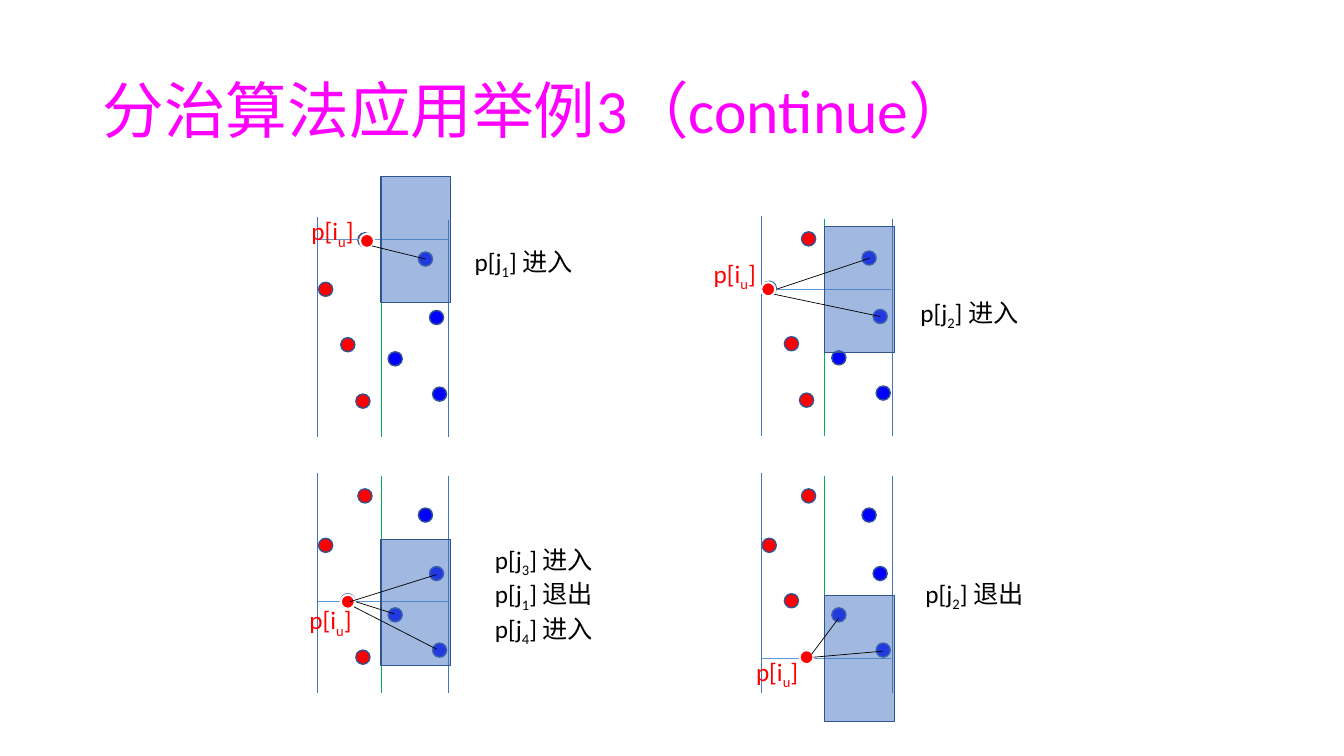
"""Builds the slide with four steps of the sweeping window in the closest pair search."""
import dataclasses

import lxml.etree
import pptx
import pptx.dml.color
import pptx.enum.shapes
import pptx.enum.text
import pptx.oxml.ns
import pptx.util

PX = 9144
SHAPES = pptx.enum.shapes.MSO_SHAPE
qn = pptx.oxml.ns.qn


@dataclasses.dataclass(frozen=True)
class Theme:
    font: str = "Calibri"
    title: str = "FF00FF"
    red: str = "FF0000"
    blue: str = "0000FF"
    outline: str = "325491"
    window: str = "4472C4"
    middle: str = "00B050"
    sweep: str = "5B9BD5"
    ink: str = "000000"
    white: str = "FFFFFF"
    title_size: int = 44
    label_size: int = 18


theme = Theme()
rgb = pptx.dml.color.RGBColor.from_string
deck = pptx.Presentation()
deck.slide_width = 1333 * PX
deck.slide_height = 750 * PX
page = deck.slides.add_slide(deck.slide_layouts[6])


def add_line(start_x, start_y, end_x, end_y, color):
    line = page.shapes.add_connector(
        pptx.enum.shapes.MSO_CONNECTOR.STRAIGHT,
        start_x * PX, start_y * PX, end_x * PX, end_y * PX)
    line.line.color.rgb = rgb(color)
    line.line.width = pptx.util.Pt(0.5)
    lxml.etree.SubElement(line._element.spPr, qn("a:effectLst"))


def add_figure(kind, left, top, width, height, fill, outline, weight):
    figure = page.shapes.add_shape(kind, left * PX, top * PX, width * PX, height * PX)
    figure.shadow.inherit = False
    figure.fill.solid()
    figure.fill.fore_color.rgb = rgb(fill)
    figure.line.color.rgb = rgb(outline)
    figure.line.width = pptx.util.Pt(weight)
    return figure


title = page.shapes.add_textbox(92 * PX, 40 * PX, 1150 * PX, 145 * PX)
title.text_frame.word_wrap = True
title.text_frame.vertical_anchor = pptx.enum.text.MSO_ANCHOR.MIDDLE
title.text_frame.text = "分治算法应用举例3（continue）"
title_para = title.text_frame.paragraphs[0]
title_para.line_spacing = 0.9
title_font = title_para.runs[0].font
title_font.name = theme.font
title_font.size = pptx.util.Pt(theme.title_size)
title_font.color.rgb = rgb(theme.title)

DOT = 14
red_points = [(40, 16), (1, 65), (23, 120), (38, 176)]
blue_points = [(100, 35), (111, 93), (70, 134), (114, 169)]

# Each panel: left, top, sweep height, current point, rays
panels = [
    (315, 215, 22, (42, 17), [(369, 244, 422, 257)]),
    (755, 214, 73, (0, 66), [(770, 287, 863, 256), (768, 292, 873, 314)]),
    (315, 469, 128, (23, 121),
     [(347, 597, 433, 570), (353, 597, 391, 609), (351, 602, 433, 644)]),
    (755, 469, 184, (38, 176), [(805, 649, 832, 613), (807, 652, 876, 646)]),
]
for left, top, sweep, current, rays in panels:
    for points, color in ((red_points, theme.red), (blue_points, theme.blue)):
        for x, y in points:
            add_figure(SHAPES.OVAL, left + x, top + y, DOT, DOT, color, theme.outline, 1)
    bottom = top + 219
    add_line(left + 63, top + 3, left + 63, bottom, theme.middle)
    add_line(left, top, left, bottom, theme.window)
    add_line(left + 130, top + 3, left + 130, bottom, theme.window)
    add_line(left, top + sweep, left + 129, top + sweep, theme.sweep)
    window = add_figure(SHAPES.RECTANGLE, left + 63, top + sweep - 62, 69, 125,
                        theme.window, theme.outline, 1)
    window_color = window._element.spPr.find(qn("a:solidFill")).find(qn("a:srgbClr"))
    lxml.etree.SubElement(window_color, qn("a:alpha")).set("val", "50000")
    add_figure(SHAPES.OVAL, left + current[0], top + current[1], DOT, DOT,
               theme.red, theme.white, 1.5)
    for ray in rays:
        add_line(*ray, theme.ink)

current_label = [("p[i", "u", "]")]
labels = [
    (299, 209, 69, 40, theme.red, current_label),
    (698, 251, 69, 40, theme.red, current_label),
    (297, 595, 69, 40, theme.red, current_label),
    (740, 646, 69, 40, theme.red, current_label),
    (461, 239, 175, 40, theme.ink, [("p[j", "1", "] 进入")]),
    (903, 290, 156, 40, theme.ink, [("p[j", "2", "] 进入")]),
    (908, 569, 156, 40, theme.ink, [("p[j", "2", "] 退出")]),
    (481, 535, 156, 101, theme.ink,
     [("p[j", "3", "] 进入"), ("p[j", "1", "] 退出"), ("p[j", "4", "] 进入")]),
]
for left, top, width, height, color, rows in labels:
    box = page.shapes.add_textbox(left * PX, top * PX, width * PX, height * PX)
    frame = box.text_frame
    frame.word_wrap = True
    frame.auto_size = pptx.enum.text.MSO_AUTO_SIZE.SHAPE_TO_FIT_TEXT
    for number, row in enumerate(rows):
        para = frame.add_paragraph() if number else frame.paragraphs[0]
        for position, text in enumerate(row):
            span = para.add_run()
            span.text = text
            span.font.name = theme.font
            span.font.size = pptx.util.Pt(theme.label_size)
            span.font.color.rgb = rgb(color)
            if position == 1:
                span._r.get_or_add_rPr().set("baseline", "-25000")

deck.save("out.pptx")
